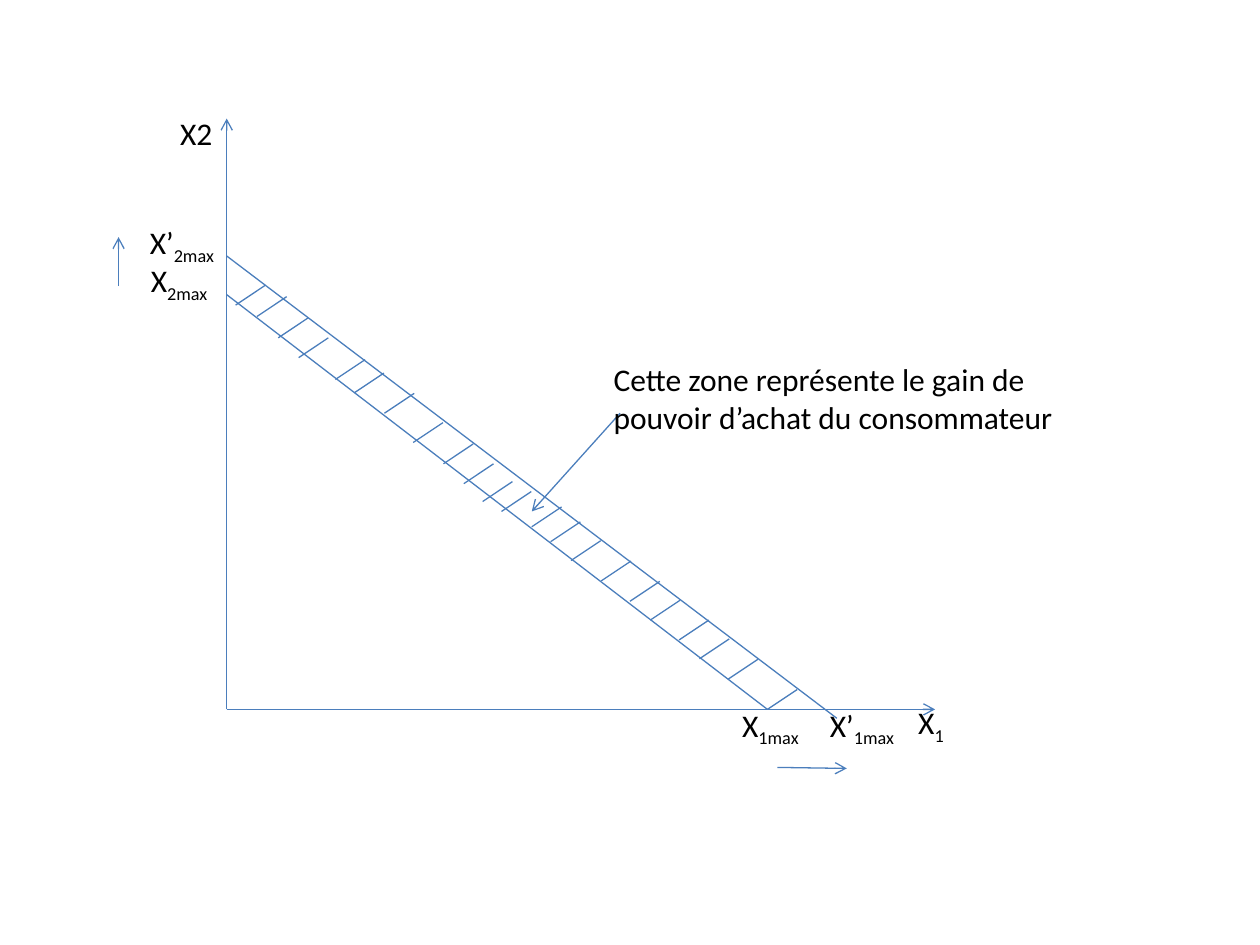
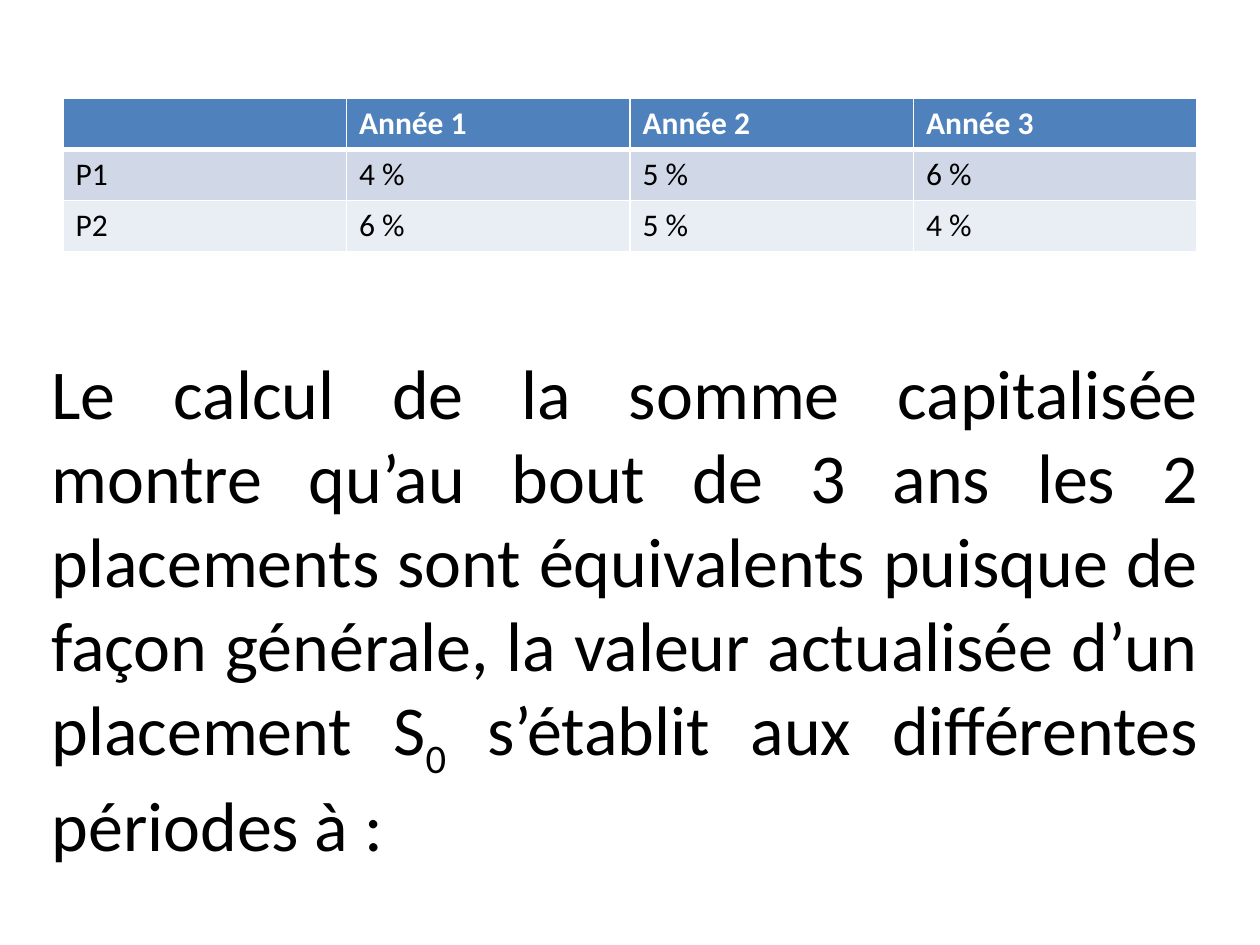
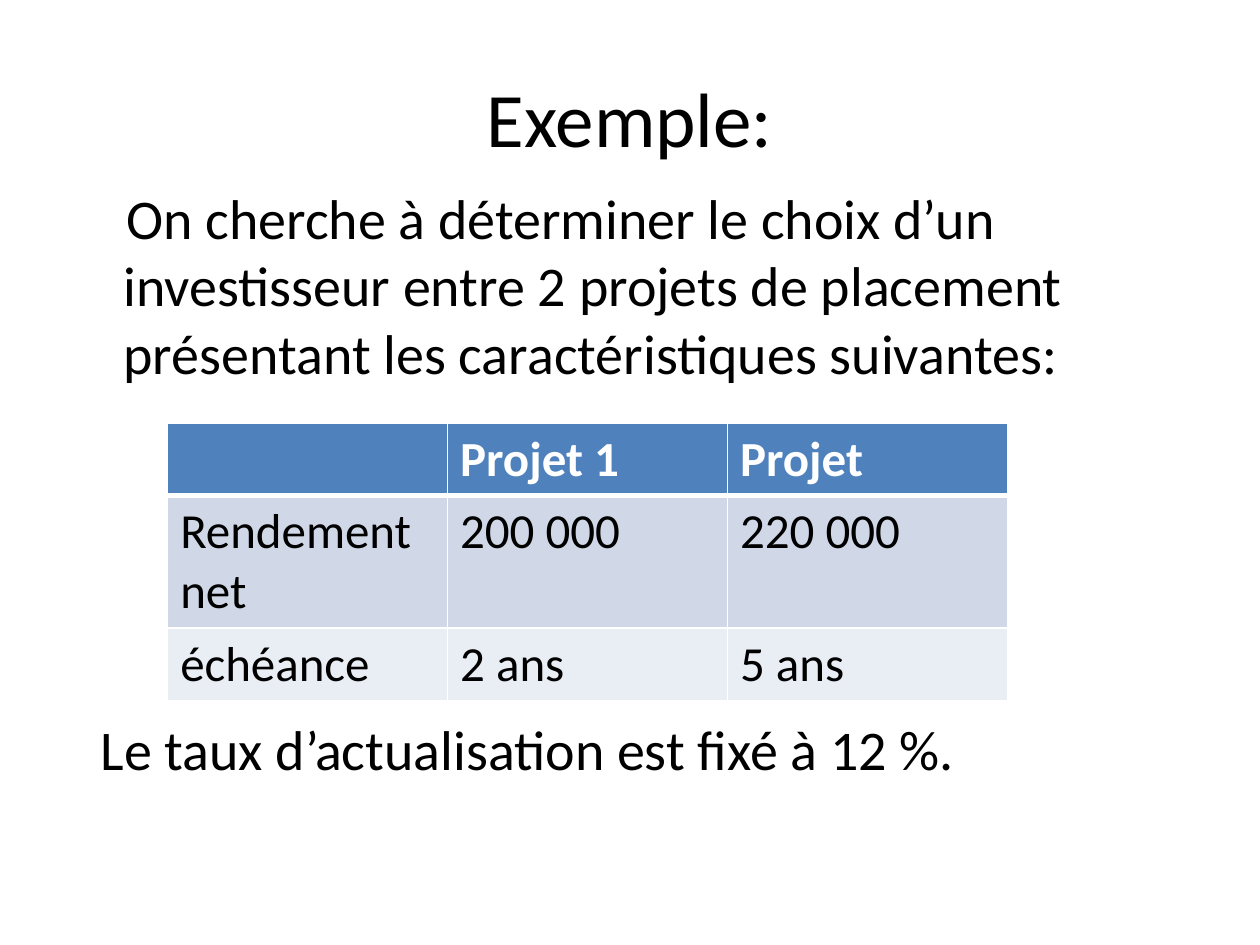
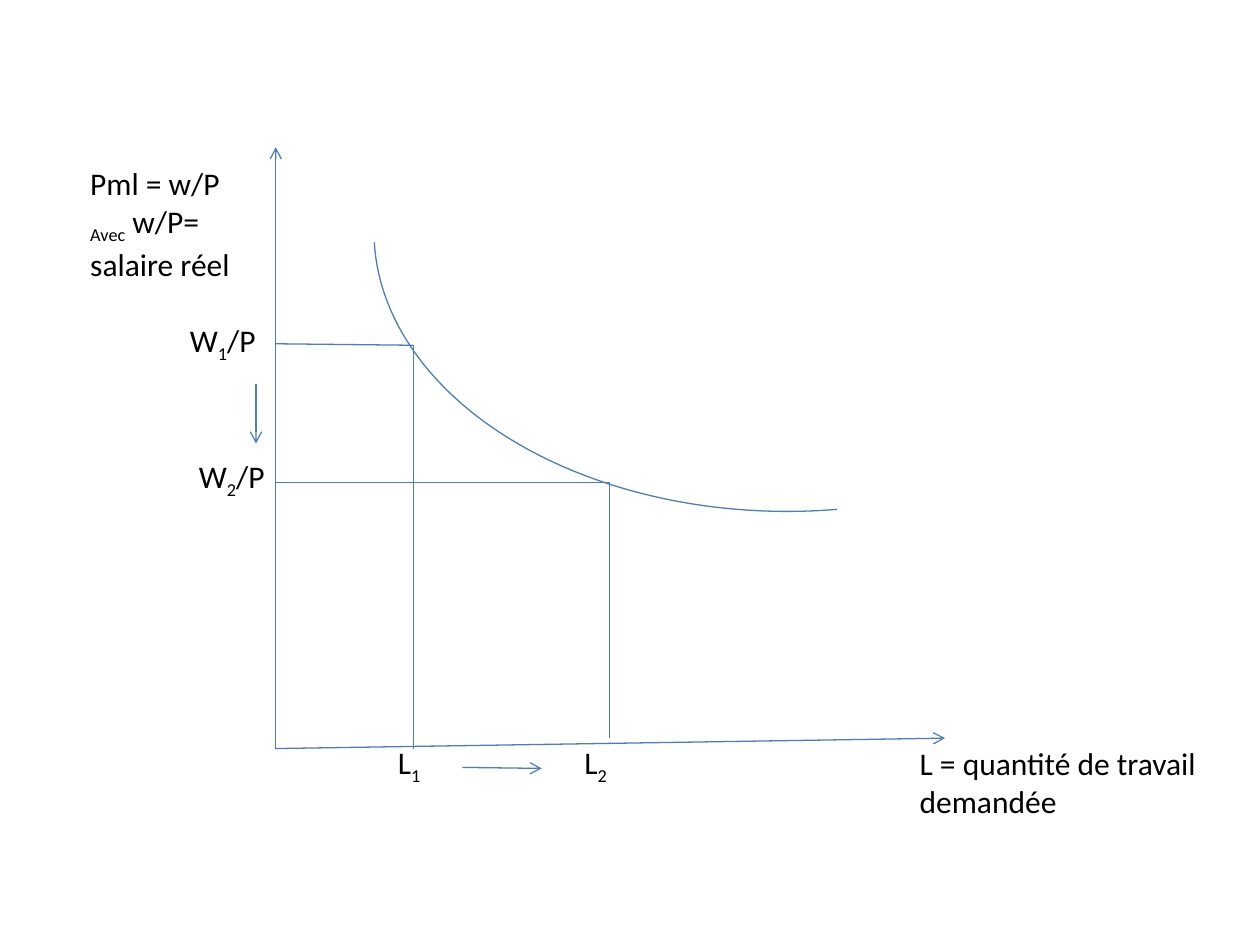
from dataclasses import dataclass, field
from typing import Any, NamedTuple

from lxml import etree
from pptx import Presentation
from pptx import util as u
from pptx.dml import color as dml
from pptx.enum import shapes, text
from pptx.oxml import ns

FONT = "Calibri"
BLACK, WHITE, LINE = "000000", "FFFFFF", "4B7EBC"
HEADER, BANDS = "4F81BD", ("D0D8E8", "E9EDF4")
HATCH_WIDTH, HATCH_HEIGHT = 0.6, 0.4


class Box(NamedTuple):
    """Left, top, width and height in centimetres."""
    left: float
    top: float
    width: float
    height: float = 1.02


class Stroke(NamedTuple):
    """Straight line from one point to another, in centimetres."""
    x1: float
    y1: float
    x2: float
    y2: float
    arrow: bool = False


@dataclass
class Paragraph:
    """Text with subscripts between underscores, and its format."""
    words: str
    layout: dict[str, Any] = field(default_factory=dict)
    margin: float = 0
    indent: float = 0


@dataclass
class Label:
    """Text box with one or more paragraphs."""
    box: Box
    paragraphs: list[Paragraph]
    size: float = 18
    frame: dict[str, Any] = field(default_factory=dict)


@dataclass
class Grid:
    """Table with a header row and banded body rows."""
    box: Box
    rows: list[list[str]]
    heights: list[float]
    size: float = 18


def rgb(value: str) -> dml.RGBColor:
    """Return the colour of a hex string."""
    return dml.RGBColor.from_string(value)


def apply(target: Any, values: dict[str, Any]) -> None:
    """Set each named attribute on the target."""
    for name, value in values.items():
        setattr(target, name, value)


def place(box: Box) -> list[u.Cm]:
    """Return the box as lengths."""
    return [u.Cm(value) for value in box]


def write(paragraph: Any, words: str, size: float, colour: str = BLACK, bold: bool = False) -> None:
    """Add the words as runs, lowering every second part."""
    for number, part in enumerate(words.split("_")):
        if not part:
            continue
        run = paragraph.add_run()
        run.text = part
        apply(run.font, {"name": FONT, "size": u.Pt(size), "bold": bold})
        run.font.color.rgb = rgb(colour)
        if number % 2:
            run.font._element.set("baseline", "-25000")


def draw_label(slide: Any, label: Label) -> None:
    """Draw a text box."""
    frame = slide.shapes.add_textbox(*place(label.box)).text_frame
    apply(frame, {"word_wrap": True, "auto_size": text.MSO_AUTO_SIZE.SHAPE_TO_FIT_TEXT} | label.frame)
    for number, item in enumerate(label.paragraphs):
        paragraph = frame.add_paragraph() if number else frame.paragraphs[0]
        apply(paragraph, item.layout)
        if item.margin:
            properties = paragraph._p.get_or_add_pPr()
            properties.set("marL", str(u.Cm(item.margin)))
            properties.set("indent", str(u.Cm(item.indent)))
        write(paragraph, item.words, label.size)


def style_line(shape: Any) -> None:
    """Give a shape the thin blue line."""
    shape.line.color.rgb = rgb(LINE)
    shape.line.width = u.Pt(0.75)


def draw_stroke(slide: Any, stroke: Stroke) -> None:
    """Draw a line or an arrow."""
    ends = [u.Cm(value) for value in stroke[:4]]
    connector = slide.shapes.add_connector(shapes.MSO_CONNECTOR.STRAIGHT, *ends)
    style_line(connector)
    properties = connector.element.spPr
    if stroke.arrow:
        outline = properties.find(ns.qn("a:ln"))
        etree.SubElement(outline, ns.qn("a:tailEnd"), type="arrow")
    etree.SubElement(properties, ns.qn("a:effectLst"))


def draw_arc(slide: Any, box: Box, start: float, end: float) -> None:
    """Draw an arc between two angles in degrees."""
    arc = slide.shapes.add_shape(shapes.MSO_SHAPE.ARC, *place(box))
    arc.shadow.inherit = False
    arc.fill.background()
    style_line(arc)
    for number, angle in enumerate((start, end)):
        arc.adjustments[number] = angle * 0.6


def draw_borders(cell: Any, row: int) -> None:
    """Give a cell white borders, thicker under the header."""
    widths = {"lnL": 1, "lnR": 1, "lnT": 3 if row == 1 else 1, "lnB": 1 if row else 3}
    properties = cell._tc.get_or_add_tcPr()
    for side, width in widths.items():
        border = etree.SubElement(properties, ns.qn(f"a:{side}"), w=str(u.Pt(width)))
        fill = etree.SubElement(border, ns.qn("a:solidFill"))
        etree.SubElement(fill, ns.qn("a:srgbClr"), val=WHITE)


def draw_grid(slide: Any, grid: Grid) -> None:
    """Draw a table."""
    columns = len(grid.rows[0])
    table = slide.shapes.add_table(len(grid.rows), columns, *place(grid.box)).table
    for column in table.columns:
        column.width = u.Cm(grid.box.width / columns)
    for number, words in enumerate(grid.rows):
        table.rows[number].height = u.Cm(grid.heights[number])
        header = number == 0
        for position, word in enumerate(words):
            cell = table.cell(number, position)
            draw_borders(cell, number)
            cell.fill.solid()
            cell.fill.fore_color.rgb = rgb(HEADER if header else BANDS[(number - 1) % 2])
            write(cell.text_frame.paragraphs[0], word, grid.size, WHITE if header else BLACK, header)


def draw_graph(slide: Any, strokes: list[Stroke], labels: list[Label]) -> None:
    """Draw the lines and labels of a graph."""
    for stroke in strokes:
        draw_stroke(slide, stroke)
    for label in labels:
        draw_label(slide, label)


def build_budget(slide: Any) -> None:
    """Draw the gain in purchasing power between two budget lines."""
    hatch_starts = [
        (4.75, 6.15), (5.18, 6.38), (5.61, 6.81), (6.02, 7.21), (6.76, 7.65), (7.14, 7.92),
        (7.75, 8.33), (8.33, 8.92), (8.94, 9.35), (9.35, 9.75), (9.73, 10.11), (10.11, 10.31),
        (10.72, 10.62), (11.1, 10.92), (11.51, 11.3), (12.12, 11.71), (12.7, 12.12),
        (13.11, 12.5), (13.69, 12.9), (14.1, 13.28), (14.68, 13.69), (15.47, 14.3),
    ]
    strokes = [
        Stroke(4.57, 14.3, 4.57, 2.39, True),
        Stroke(4.57, 14.3, 18.85, 14.3, True),
        Stroke(4.57, 5.94, 15.47, 14.3),
        Stroke(4.57, 5.16, 16.87, 14.48),
        *(Stroke(x, y, x + HATCH_WIDTH, y - HATCH_HEIGHT) for x, y in hatch_starts),
        Stroke(2.39, 5.77, 2.39, 4.78, True),
        Stroke(15.67, 15.47, 17.07, 15.49, True),
        Stroke(12.5, 8.33, 10.72, 10.31, True),
    ]
    labels = [
        Label(Box(3.38, 2.18, 1.17), [Paragraph("X2")], frame={"word_wrap": False}),
        Label(Box(2.79, 5.13, 2.36), [Paragraph("X_2max_")]),
        Label(Box(14.71, 14.1, 2.36), [Paragraph("X_1max_")]),
        Label(Box(18.26, 14.05, 2.36), [Paragraph("X_1_")]),
        Label(Box(2.77, 4.37, 2.36), [Paragraph("X’_2max_")]),
        Label(Box(16.48, 14.1, 2.36), [Paragraph("X’_1max_")]),
        Label(Box(12.12, 7.14, 9.53, 1.8),
              [Paragraph("Cette zone représente le gain de pouvoir d’achat du consommateur")]),
    ]
    draw_graph(slide, strokes, labels)


def build_rates(slide: Any) -> None:
    """Draw the yearly rates of two investments."""
    rows = [["", "Année 1", "Année 2", "Année 3"],
            ["P1", "4 %", "5 %", "6 %"],
            ["P2", "6 %", "5 %", "4 %"]]
    draw_grid(slide, Grid(Box(1.27, 1.98, 22.86, 3.09), rows, [1.03] * 3))
    words = ("Le calcul de la somme capitalisée montre qu’au bout de 3 ans les 2 placements "
             "sont équivalents puisque de façon générale, la valeur actualisée d’un placement "
             "S_0_ s’établit aux différentes périodes à :")
    justified = Paragraph(words, {"alignment": text.PP_ALIGN.JUSTIFY})
    draw_label(slide, Label(Box(0.79, 6.93, 23.62, 10.52), [justified], 40))


def build_example(slide: Any) -> None:
    """Draw the example of two projects."""
    fixed = {"auto_size": text.MSO_AUTO_SIZE.NONE}
    title = Paragraph("Exemple:", {"alignment": text.PP_ALIGN.CENTER})
    draw_label(slide, Label(Box(1.27, 0.76, 22.86, 3.18), [title], 44,
                            fixed | {"vertical_anchor": text.MSO_ANCHOR.MIDDLE}))
    question = ("On cherche à déterminer le choix d’un investisseur entre 2 projets "
                "de placement présentant les caractéristiques suivantes:")
    body = [
        Paragraph(question, {"space_before": u.Pt(6.4)}, 0.97, 0.06),
        Paragraph("Le taux d’actualisation est fixé à 12 %.", {"space_before": u.Pt(188)}, 0.97, -0.46),
    ]
    draw_label(slide, Label(Box(1.27, 3.58, 22.86, 13.44), body, 32, fixed))
    rows = [["", "Projet 1", "Projet"],
            ["Rendement net", "200 000", "220 000"],
            ["échéance", "2 ans", "5 ans"]]
    draw_grid(slide, Grid(Box(3.38, 8.53, 16.93, 5.51), rows, [1.42, 2.67, 1.42], 28))


def build_labour(slide: Any) -> None:
    """Draw the demand for labour."""
    strokes = [
        Stroke(5.56, 15.09, 5.56, 2.97, True),
        Stroke(5.56, 15.09, 19.05, 14.88, True),
        Stroke(5.56, 6.93, 8.33, 6.96),
        Stroke(12.29, 9.73, 12.29, 14.88),
        Stroke(8.33, 6.96, 8.33, 15.09),
        Stroke(5.56, 9.73, 12.29, 9.73),
        Stroke(5.16, 7.75, 5.16, 8.94, True),
        Stroke(9.32, 15.47, 10.92, 15.49, True),
    ]
    labels = [
        Label(Box(3.58, 6.35, 2.18), [Paragraph("W_1_/P")]),
        Label(Box(7.77, 14.86, 1.37), [Paragraph("L_1_")]),
        Label(Box(11.53, 14.86, 1.37), [Paragraph("L_2_")]),
        Label(Box(18.29, 14.88, 6.32, 1.8), [Paragraph("L = quantité de travail demandée")]),
        Label(Box(1.57, 3.18, 3.58, 2.57),
              [Paragraph("Pml = w/P"), Paragraph("_Avec_ w/P= salaire réel")]),
        Label(Box(3.76, 9.09, 2.18), [Paragraph("W_2_/P")]),
    ]
    draw_graph(slide, strokes, labels)
    draw_arc(slide, Box(7.54, -0.99, 16.66, 11.3), 79.89, 178.42)


def main() -> None:
    """Build and save the presentation."""
    presentation = Presentation()
    apply(presentation, {"slide_width": u.Cm(25.4), "slide_height": u.Cm(19.05)})
    for build in (build_budget, build_rates, build_example, build_labour):
        build(presentation.slides.add_slide(presentation.slide_layouts[6]))
    presentation.save("out.pptx")


if __name__ == "__main__":
    main()
